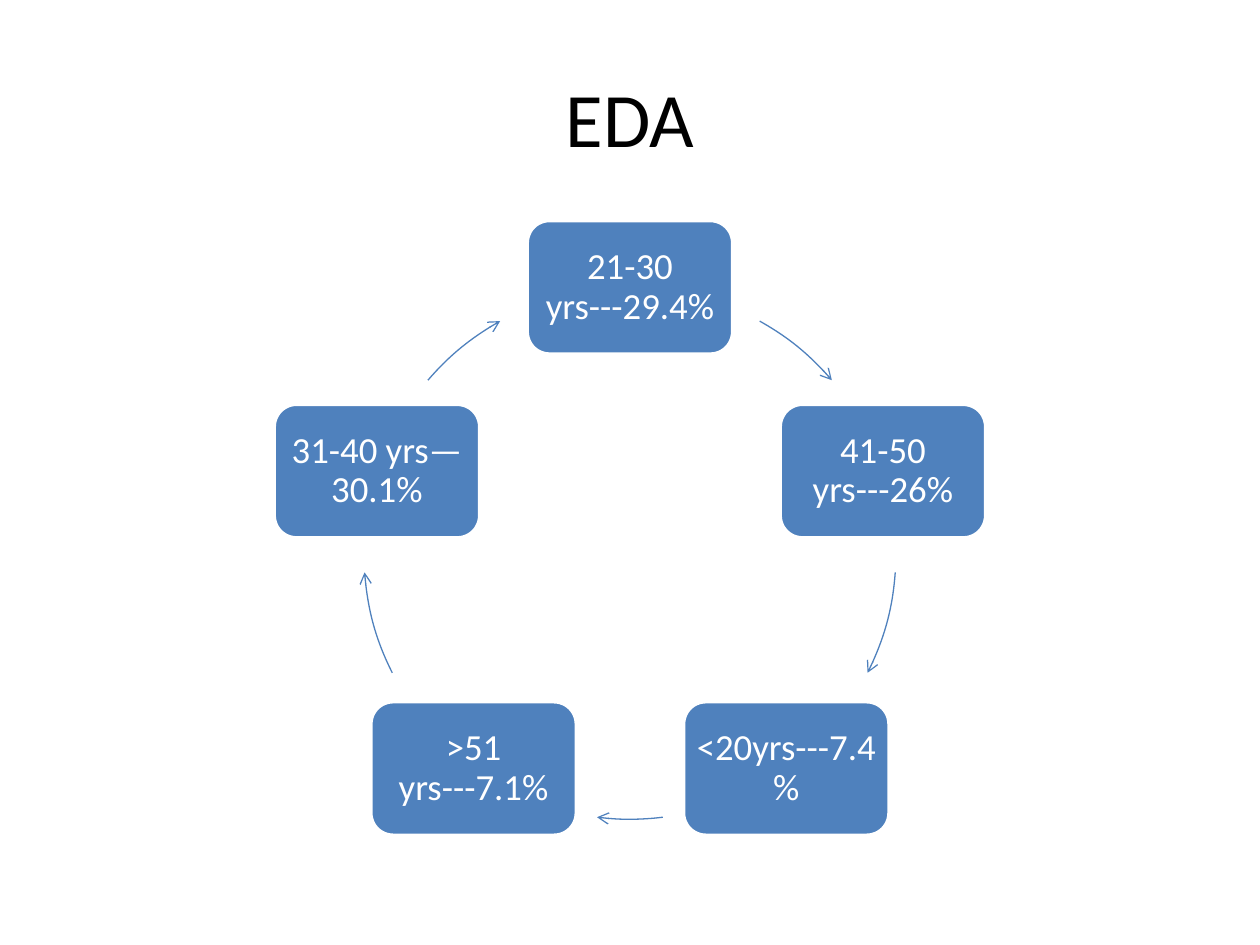
from dataclasses import dataclass
from math import cos, radians, sin

from lxml.etree import SubElement
from pptx import Presentation
from pptx.dml.color import RGBColor
from pptx.enum.shapes import MSO_SHAPE
from pptx.enum.text import MSO_ANCHOR, PP_ALIGN
from pptx.oxml.ns import qn
from pptx.util import Pt

TITLE = "EDA"
# Age group label, then start and end angle of the arrow that leaves it
AGE_GROUPS = [
    ("21-30 yrs---29.4%", 299.2, 319.4),
    ("41-50 yrs---26%", 4.1, 26.7),
    ("<20yrs---7.4%", 82.9, 97.1),
    (">51 yrs---7.1%", 153.3, 175.9),
    ("31-40 yrs\u201430.1%", 220.6, 240.8),
]


@dataclass(frozen=True)
class Theme:
    """Colours, font and type sizes."""
    blue: RGBColor = RGBColor(0x4F, 0x81, 0xBD)
    white: RGBColor = RGBColor(0xFF, 0xFF, 0xFF)
    black: RGBColor = RGBColor(0, 0, 0)
    font: str = "Calibri"
    title_size: int = 44
    label_size: int = 21


THEME = Theme()
CENTER_X, CENTER_Y, RADIUS = 360, 316.2, 152
NODE_W, NODE_H = 117.4, 76.3
INSET = 2.7


def write(tf, text, size, color):
    """Put one centred paragraph in a text frame."""
    tf.word_wrap = True
    tf.vertical_anchor = MSO_ANCHOR.MIDDLE
    tf.text = text
    p = tf.paragraphs[0]
    p.alignment = PP_ALIGN.CENTER
    p.font.name, p.font.size = THEME.font, Pt(size)
    p.font.color.rgb = color
    return p


def add_node(s, text, angle):
    """Add a rounded box centred on the ring at an angle."""
    x = CENTER_X + RADIUS * cos(radians(angle))
    y = CENTER_Y + RADIUS * sin(radians(angle))
    sp = s.shapes.add_shape(MSO_SHAPE.ROUNDED_RECTANGLE, Pt(x - NODE_W / 2),
                            Pt(y - NODE_H / 2), Pt(NODE_W), Pt(NODE_H))
    sp.shadow.inherit = False
    sp.fill.solid()
    sp.fill.fore_color.rgb = THEME.blue
    sp.line.color.rgb, sp.line.width = THEME.white, Pt(2)
    tf = sp.text_frame
    tf.margin_left = tf.margin_right = Pt(INSET)
    tf.margin_top = tf.margin_bottom = Pt(INSET)
    write(tf, text, THEME.label_size, THEME.white).line_spacing = 0.9


def add_arc_arrow(s, start, end):
    """Add an arrow along the ring between two angles in degrees."""
    sp = s.shapes.add_shape(MSO_SHAPE.ARC, Pt(CENTER_X - RADIUS),
                            Pt(CENTER_Y - RADIUS), Pt(2 * RADIUS), Pt(2 * RADIUS))
    # Angles are stored as 60000ths of a degree, adjustments as 100000ths
    sp.adjustments[0], sp.adjustments[1] = start * 0.6, end * 0.6
    sp.shadow.inherit = False
    sp.fill.background()
    sp.line.color.rgb, sp.line.width = THEME.blue, Pt(0.75)
    SubElement(sp.line._get_or_add_ln(), qn("a:tailEnd"), type="arrow")


def main():
    """Build the slide and save it."""
    prs = Presentation()
    prs.slide_width, prs.slide_height = Pt(720), Pt(540)
    s = prs.slides.add_slide(prs.slide_layouts[5])
    title = s.shapes.title
    title.left, title.top, title.width, title.height = Pt(36), Pt(21.6), Pt(648), Pt(90)
    write(title.text_frame, TITLE, THEME.title_size, THEME.black)
    step = 360 / len(AGE_GROUPS)
    for i, (label, start, end) in enumerate(AGE_GROUPS):
        add_node(s, label, -90 + i * step)
        add_arc_arrow(s, start, end)
    prs.save("out.pptx")


main()
